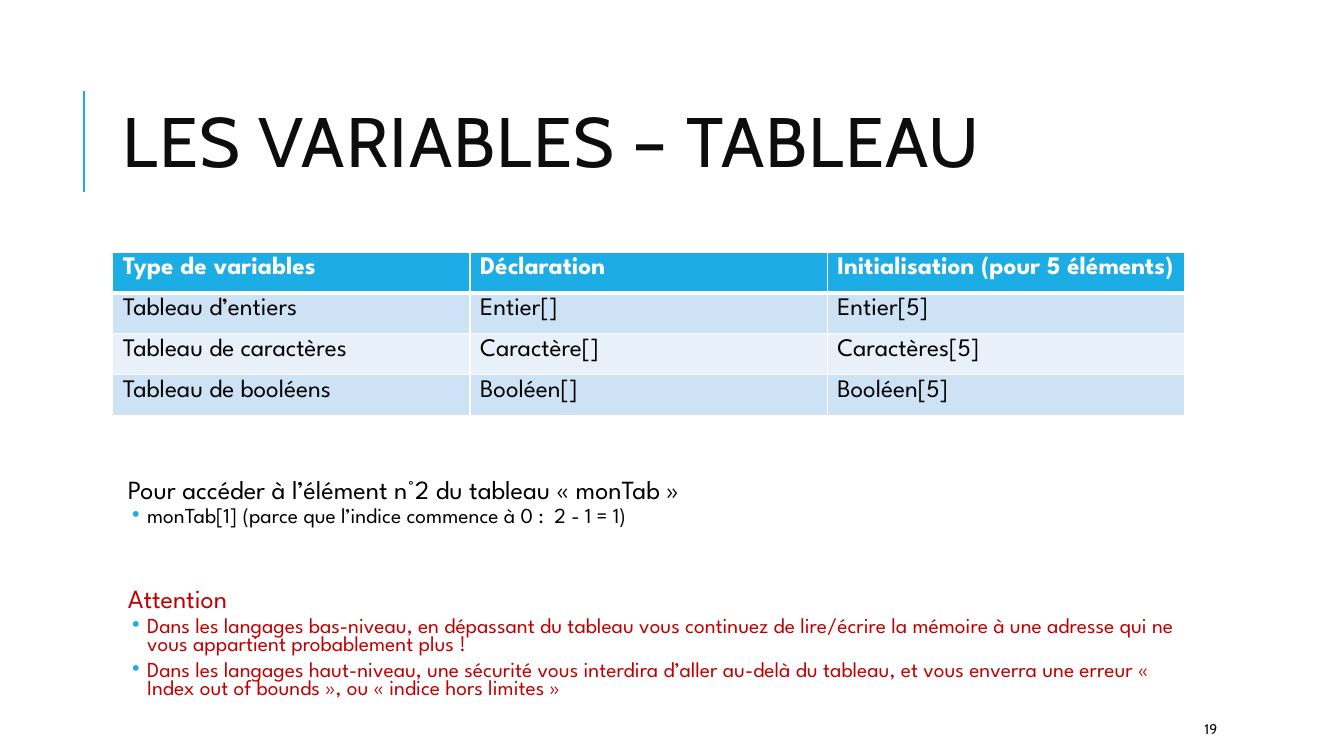
"""Build the slide that introduces array variables."""
from lxml.etree import SubElement
from pptx import Presentation
from pptx.dml.color import RGBColor
from pptx.enum.shapes import MSO_CONNECTOR as Connector
from pptx.enum.text import MSO_ANCHOR as Anchor, MSO_AUTO_SIZE as AutoSize, PP_ALIGN as Align
from pptx.oxml.ns import qn
from pptx.util import Pt

TITLE = "LES VARIABLES – TABLEAU"
PAGE = "19"
ROWS = [
    ("Type de variables", "Déclaration", "Initialisation (pour 5 éléments)"),
    ("Tableau d’entiers", "Entier[]", "Entier[5]"),
    ("Tableau de caractères", "Caractère[]", "Caractères[5]"),
    ("Tableau de booléens", "Booléen[]", "Booléen[5]"),
]
NOTES = [
    ("Pour accéder à l’élément n°2 du tableau « monTab »", "black", [
        "monTab[1] (parce que l’indice commence à 0 :  2 - 1 = 1)",
    ]),
    ("Attention", "red", [
        "Dans les langages bas-niveau, en dépassant du tableau vous continuez de lire/écrire "
        "la mémoire à une adresse qui ne vous appartient probablement plus !",
        "Dans les langages haut-niveau, une sécurité vous interdira d’aller au-delà du tableau, "
        "et vous enverra une erreur « Index out of bounds », ou « indice hors limites »",
    ]),
]
COLORS = {"accent": "1CADE4", "ink": "0D0D0D", "black": "000000", "red": "C00000",
          "white": "FFFFFF", "band": "CDE3F5", "light": "E8F1FA"}
HEAD_FONT, BODY_FONT = "Cabin", "League Spartan"
LEFT, WIDTH = 80.64, 765.36
TABLE_TOP, ROW_HEIGHT = 180, 29.2
NOTES_TOP, NOTES_BOTTOM, NOTES_INSET = 340.5, 496.8, 3.6
NOTE_GAP = 41.7


def rgb(name):
    return RGBColor.from_string(COLORS[name])


def style(paragraph, face, size, color, bold=False):
    font = paragraph.font
    font.name, font.size, font.bold = face, Pt(size), bold
    font.color.rgb = rgb(color)


def space(paragraph, before, after, line):
    paragraph.space_before, paragraph.space_after = Pt(before), Pt(after)
    paragraph.line_spacing = line


def add_color(parent, name):
    SubElement(parent, qn("a:srgbClr")).set("val", COLORS[name])


def add_border(cell, side, weight):
    edge = SubElement(cell._tc.get_or_add_tcPr(), qn(f"a:ln{side}"))
    edge.set("w", str(Pt(weight)))
    add_color(SubElement(edge, qn("a:solidFill")), "white")


def indent(paragraph, margin, hanging):
    props = paragraph._p.get_or_add_pPr()
    props.set("marL", str(Pt(margin)))
    props.set("indent", str(Pt(-hanging)))
    return props


def add_title(slide):
    title = slide.shapes.title
    title.left, title.top, title.width, title.height = Pt(LEFT), Pt(46.08), Pt(WIDTH), Pt(118.08)
    frame = title.text_frame
    frame.text = TITLE
    frame.auto_size, frame.vertical_anchor = AutoSize.NONE, Anchor.MIDDLE
    heading = frame.paragraphs[0]
    heading.alignment = Align.LEFT
    space(heading, 0, 0, 0.8)
    style(heading, HEAD_FONT, 50, "ink")
    heading.runs[0].font._element.set("spc", "100")


def add_rule(slide):
    rule = slide.shapes.add_connector(Connector.STRAIGHT, Pt(60), Pt(136.8), Pt(60), Pt(64.8))
    rule.line.color.rgb, rule.line.width = rgb("accent"), Pt(1.5)
    SubElement(rule._element.spPr, qn("a:effectLst"))


def add_types(slide):
    columns = len(ROWS[0])
    types = slide.shapes.add_table(len(ROWS), columns, Pt(LEFT), Pt(TABLE_TOP),
                                   Pt(WIDTH), Pt(ROW_HEIGHT * len(ROWS))).table
    for column in types.columns:
        column.width = Pt(WIDTH / columns)
    for r, row in enumerate(ROWS):
        types.rows[r].height = Pt(ROW_HEIGHT)
        header = r == 0
        fill = "accent" if header else "band" if r % 2 else "light"
        for c, label in enumerate(row):
            cell = types.cell(r, c)
            cell.text = label
            style(cell.text_frame.paragraphs[0], BODY_FONT, 18,
                  "white" if header else "black", header)
            for side, weight in (("L", 1), ("R", 1), ("T", 3 if r == 1 else 1),
                                 ("B", 3 if header else 1)):
                add_border(cell, side, weight)
            cell.fill.solid()
            cell.fill.fore_color.rgb = rgb(fill)


def add_notes(slide):
    frame = slide.shapes.add_textbox(Pt(LEFT), Pt(NOTES_TOP), Pt(WIDTH),
                                     Pt(NOTES_BOTTOM - NOTES_TOP)).text_frame
    frame.word_wrap = True
    frame.margin_left = frame.margin_right = Pt(NOTES_INSET)
    frame.margin_top = frame.margin_bottom = Pt(NOTES_INSET)
    for n, (heading, color, points) in enumerate(NOTES):
        lead = frame.add_paragraph() if n else frame.paragraphs[0]
        lead.text = heading
        indent(lead, 7.2, 0)
        space(lead, NOTE_GAP if n else 0, 2, 0.7)
        style(lead, BODY_FONT, 18.7, color)
        for point in points:
            item = frame.add_paragraph()
            item.text, item.level = point, 1
            props = indent(item, 20.88, 10.8)
            space(item, 2, 4, 0.7)
            add_color(SubElement(props, qn("a:buClr")), "accent")
            SubElement(props, qn("a:buFont")).set("typeface", "Arial")
            SubElement(props, qn("a:buChar")).set("char", "•")
            style(item, BODY_FONT, 15.3, color)


def add_page(slide):
    frame = slide.shapes.add_textbox(Pt(853.2), Pt(509.76), Pt(76.32), Pt(21.6)).text_frame
    frame.word_wrap, frame.vertical_anchor = True, Anchor.MIDDLE
    frame.text = PAGE
    style(frame.paragraphs[0], HEAD_FONT, 10, "ink")


def main():
    deck = Presentation()
    deck.slide_width, deck.slide_height = Pt(960), Pt(540)
    slide = deck.slides.add_slide(deck.slide_layouts.get_by_name("Title Only"))
    for add_part in (add_rule, add_notes, add_title, add_page, add_types):
        add_part(slide)
    deck.save("out.pptx")


if __name__ == "__main__":
    main()
